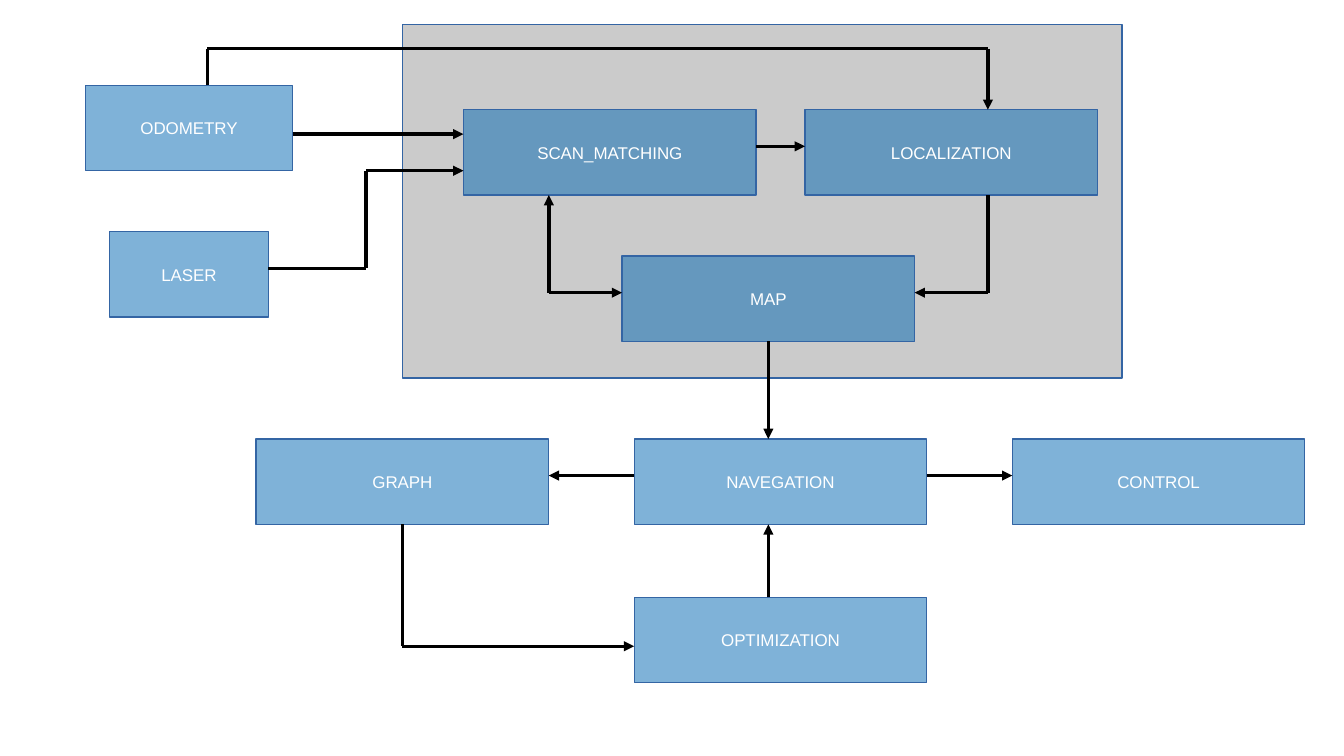
from itertools import pairwise
from lxml.etree import SubElement as Sub
from pptx import Presentation
from pptx.dml.color import RGBColor as RGB
from pptx.enum.shapes import MSO_CONNECTOR as CON, MSO_SHAPE as SHAPE
from pptx.enum.text import MSO_ANCHOR as ANCHOR, PP_ALIGN as ALIGN
from pptx.oxml.ns import qn
from pptx.util import Inches, Pt

HUES = {"box": "0066B3", "panel": "999999", "edge": "3465A4",
        "wire": "000000", "text": "FFFFFF"}
TOP, LEFT, BOTTOM, RIGHT = range(4)


class Chart:
    """Style and current slide of the flow chart."""
    font, size, alpha = "Arial", Pt(10), 50

    def __init__(self, slide):
        self.shapes = slide.shapes

    def rect(self, x, y, w, h, hue):
        item = self.shapes.add_shape(SHAPE.RECTANGLE, *map(Inches, (x, y, w, h)))
        item.shadow.inherit = False
        item.fill.solid()
        item.fill.fore_color.rgb = RGB.from_string(HUES[hue])
        color = item.fill._xPr.find(".//" + qn("a:srgbClr"))
        Sub(color, qn("a:alpha"), val=str(self.alpha * 1000))
        item.line.color.rgb = RGB.from_string(HUES["edge"])
        item.line.width = Pt(0)
        return item

    def box(self, label, x, y, w=2.4, h=0.7):
        item = self.rect(x, y, w, h, "box")
        frame = item.text_frame
        frame.word_wrap = False
        frame.vertical_anchor = ANCHOR.MIDDLE
        para = frame.paragraphs[0]
        para.text = label
        para.alignment = ALIGN.CENTER
        para.font.name, para.font.size = self.font, self.size
        para.font.color.rgb = RGB.from_string(HUES["text"])
        return item

    def wire(self, *stops, start=None):
        """Draw straight parts through the stops, with an arrow at the last."""
        parts = []
        for a, b in pairwise(stops):
            part = self.shapes.add_connector(CON.STRAIGHT, *map(Inches, a + b))
            part.line.color.rgb = RGB.from_string(HUES["wire"])
            part.line.width = Pt(0)
            Sub(part._element.spPr, qn("a:effectLst"))
            parts.append(part)
        Sub(parts[-1].line._get_or_add_ln(), qn("a:tailEnd"), type="triangle")
        if start:
            parts[0].begin_connect(start, BOTTOM)


def main():
    deck = Presentation()
    deck.slide_width, deck.slide_height = Inches(11.02), Inches(6.2)
    chart = Chart(deck.slides.add_slide(deck.slide_layouts[6]))

    # Sensors
    chart.box("LASER", 0.9, 1.9, 1.3)
    chart.box("ODOMETRY", 0.7, 0.7, 1.7)

    # Mapping panel
    chart.rect(3.3, 0.2, 5.9, 2.9, "panel")
    chart.box("SCAN_MATCHING", 3.8, 0.9)
    chart.box("LOCALIZATION", 6.6, 0.9)
    grid = chart.box("MAP", 5.1, 2.1)

    # Planning and control
    row = ("GRAPH", "NAVEGATION", "CONTROL")
    graph, *_ = [chart.box(name, 2.1 + 3.1 * i, 3.6) for i, name in enumerate(row)]
    chart.box("OPTIMIZATION", 5.2, 4.9)

    # Sensor wires
    chart.wire((1.7, 0.7), (1.7, 0.4), (8.1, 0.4), (8.1, 0.9))
    chart.wire((2.4, 1.1), (2.9, 1.1), (3.8, 1.1))
    chart.wire((2.2, 2.2), (3, 2.2), (3, 1.4), (3.8, 1.4))

    # Mapping wires
    chart.wire((6.2, 1.2), (6.6, 1.2))
    chart.wire((8.1, 1.6), (8.1, 2.4), (7.5, 2.4))
    chart.wire((4.5, 2.4), (4.5, 2.2), (4.5, 1.6))
    chart.wire((4.5, 2.4), (5.1, 2.4))

    # Planning wires
    chart.wire((6.3, 2.8), (6.3, 3.6), start=grid)
    chart.wire((5.2, 3.9), (4.5, 3.9))
    chart.wire((7.6, 3.9), (8.3, 3.9))
    chart.wire((3.3, 4.3), (3.3, 5.3), (5.2, 5.3), start=graph)
    chart.wire((6.3, 4.9), (6.3, 4.3))

    deck.save("out.pptx")


if __name__ == "__main__":
    main()
